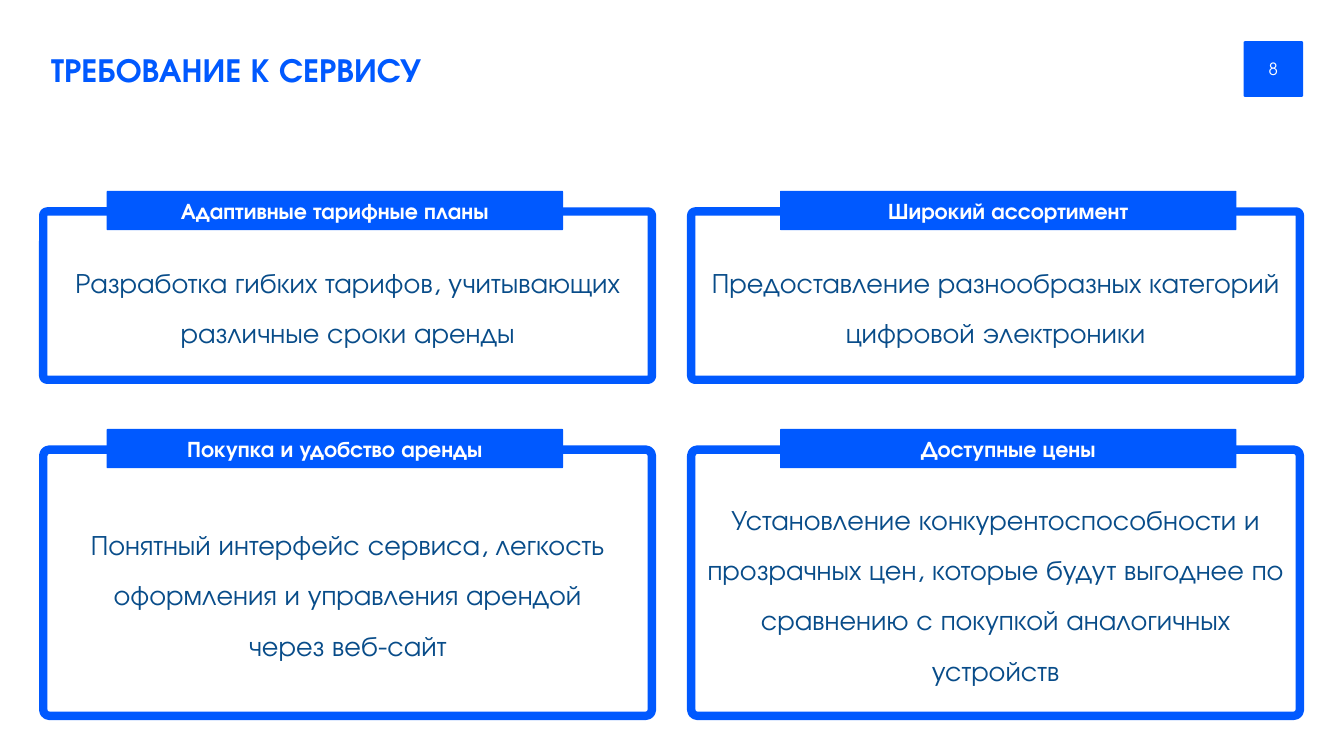
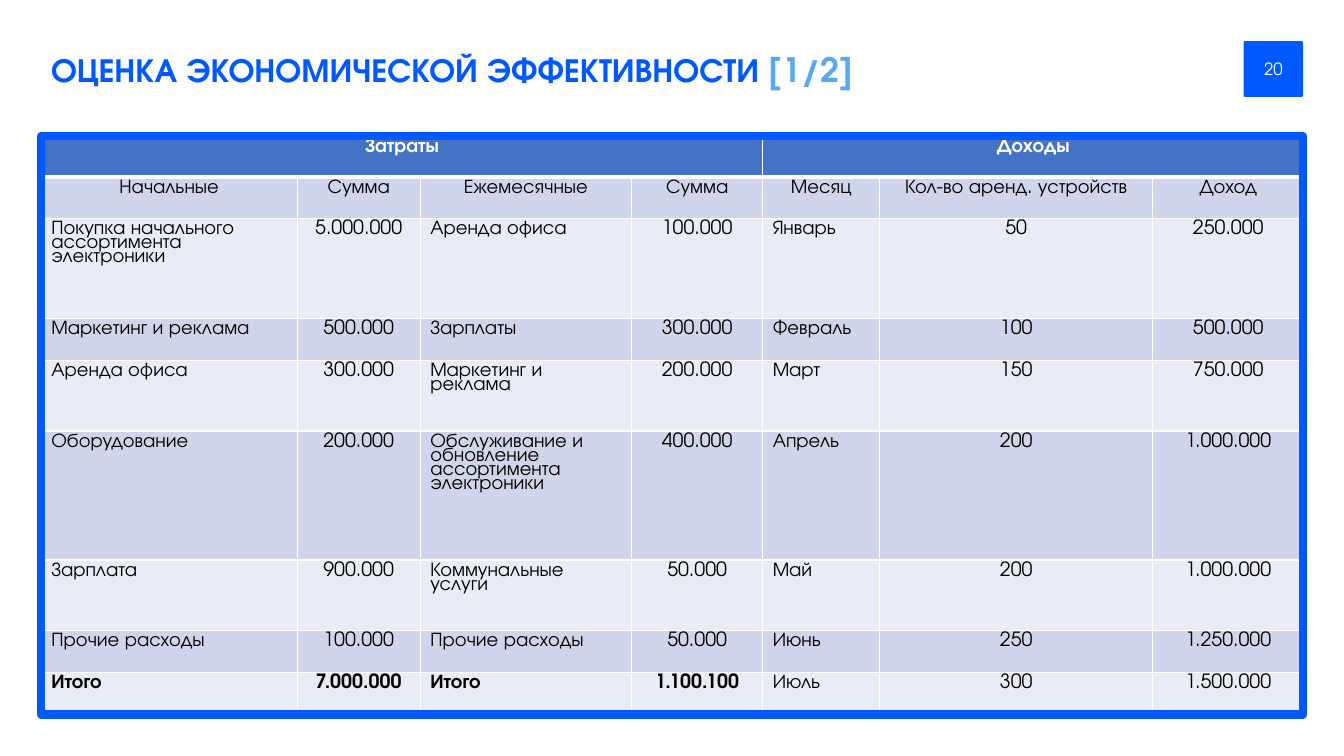
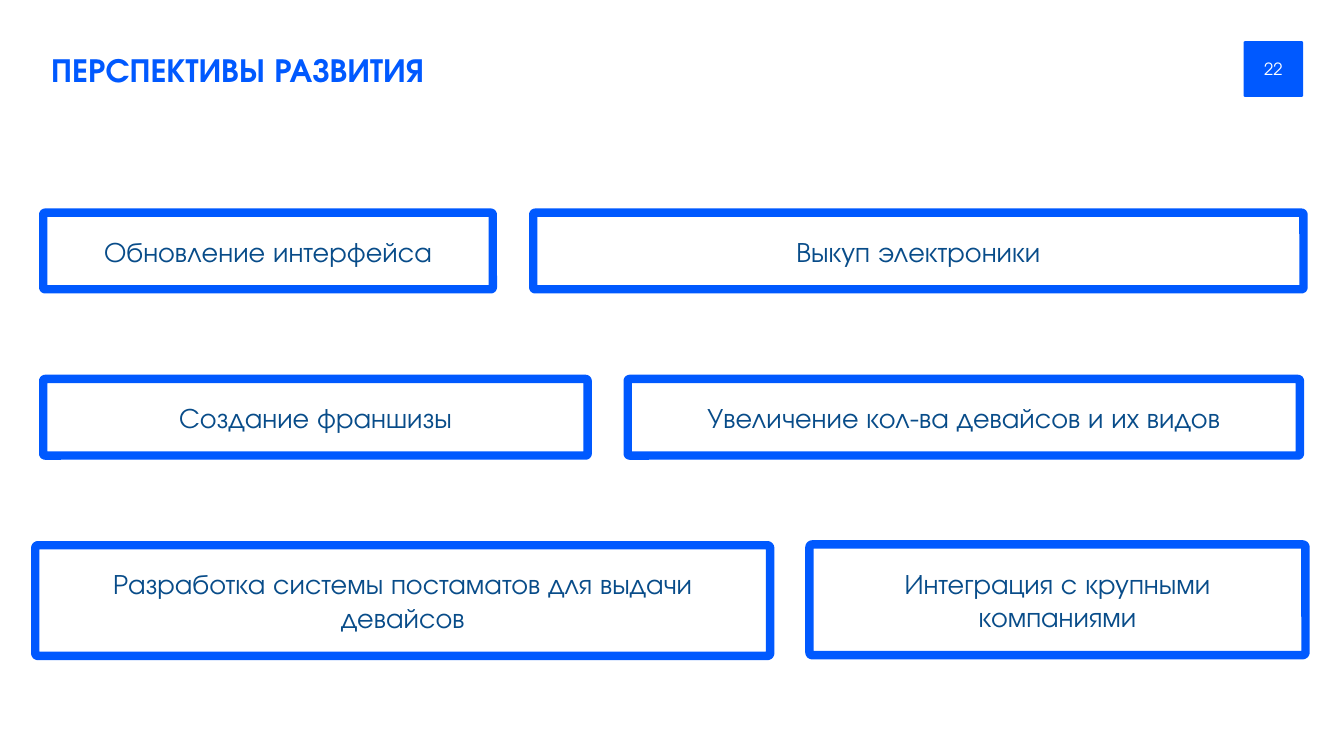
"""Build three slides on a device rental service: requirements, economics and prospects."""
from dataclasses import dataclass

from lxml import etree
from pptx import Presentation
from pptx.dml.color import RGBColor
from pptx.enum import shapes, text
from pptx.oxml import ns
from pptx.util import Cm, Pt

FONT = "TeX Gyre Adventor"
BLUE, NAVY, SKY, WHITE, BLACK = "0059FF", "084C89", "55A9F5", "FFFFFF", "000000"
HEADER, BAND_DARK, BAND_LIGHT = "4472C4", "CFD5EA", "E9EBF5"
CENTER, LEFT = text.PP_ALIGN.CENTER, text.PP_ALIGN.LEFT
MIDDLE = text.MSO_ANCHOR.MIDDLE
CORNER = 0.023


@dataclass(frozen=True)
class Area:
    """Position and size in centimetres."""
    left: float
    top: float
    width: float
    height: float

    def lengths(self) -> tuple:
        """Return the four values as lengths."""
        return Cm(self.left), Cm(self.top), Cm(self.width), Cm(self.height)


@dataclass(frozen=True)
class Card:
    """Framed requirement with a heading tab."""
    column: int
    row: int
    heading: str
    body: str
    side_inset: float = 0.3


@dataclass(frozen=True)
class Prospect:
    """Framed development idea."""
    area: Area
    label: str


TITLE_AREA = Area(1.04, 1.04, 22, 1.4)
NUMBER_AREA = Area(31.34, 1.04, 1.5, 1.4)
TABLE_AREA = Area(1.04, 3.43, 31.8, 14.58)

FRAME_LEFTS, TAB_LEFTS = (1.09, 17.42), (2.69, 19.66)
FRAME_TOPS, FRAME_HEIGHTS = (5.33, 11.33), (4.24, 6.71)
FRAME_WIDTH, TAB_WIDTH, TAB_HEIGHT, TAB_RISE = 15.34, 11.5, 0.99, 0.52

CARDS = (
    Card(0, 0, "Адаптивные тарифные планы",
         "Разработка гибких тарифов, учитывающих различные сроки аренды"),
    Card(1, 0, "Широкий ассортимент",
         "Предоставление разнообразных категорий цифровой электроники"),
    Card(0, 1, "Покупка и удобство аренды",
         "Понятный интерфейс сервиса, легкость оформления и управления арендой "
         "через веб-сайт", 0.85),
    Card(1, 1, "Доступные цены",
         "Установление конкурентоспособности и прозрачных цен, которые будут "
         "выгоднее по сравнению с покупкой аналогичных устройств"),
)

PROSPECTS = (
    Prospect(Area(1.09, 5.36, 11.33, 1.93), "Обновление интерфейса"),
    Prospect(Area(13.44, 5.36, 19.41, 1.93), "Выкуп электроники"),
    Prospect(Area(1.09, 9.55, 13.72, 1.93), "Создание франшизы"),
    Prospect(Area(15.82, 9.55, 16.94, 1.93), "Увеличение кол-ва девайсов и их видов"),
    Prospect(Area(0.89, 13.74, 18.52, 2.79),
             "Разработка системы постаматов для выдачи девайсов"),
    Prospect(Area(20.4, 13.72, 12.5, 2.79), "Интеграция с крупными компаниями"),
)

COLUMN_WIDTHS = (6.45, 3.1, 5.33, 3.3, 2.95, 6.88, 3.81)
ROW_HEIGHTS = (1.03, 1.05, 2.52, 1.05, 1.78, 3.25, 1.78, 1.05, 1.05)
LEFT_COLUMNS = (0, 2, 4)
COST_COLUMNS = 4
ROWS = (
    ("Затраты", "", "", "", "Доходы", "", ""),
    ("Начальные", "Сумма", "Ежемесячные", "Сумма", "Месяц",
     "Кол-во аренд. устройств", "Доход"),
    ("Покупка начального ассортимента электроники", "5.000.000",
     "Аренда офиса", "100.000", "Январь", "50", "250.000"),
    ("Маркетинг и реклама", "500.000", "Зарплаты", "300.000",
     "Февраль", "100", "500.000"),
    ("Аренда офиса", "300.000", "Маркетинг и реклама", "200.000",
     "Март", "150", "750.000"),
    ("Оборудование", "200.000", "Обслуживание и обновление ассортимента электроники",
     "400.000", "Апрель", "200", "1.000.000"),
    ("Зарплата", "900.000", "Коммунальные услуги", "50.000",
     "Май", "200", "1.000.000"),
    ("Прочие расходы", "100.000", "Прочие расходы", "50.000",
     "Июнь", "250", "1.250.000"),
    ("Итого", "7.000.000", "Итого", "1.100.100", "Июль", "300", "1.500.000"),
)


def color(value: str) -> RGBColor:
    """Turn a hex string into a colour."""
    return RGBColor.from_string(value)


def add_span(para, content: str, *, size: float, ink: str, bold: bool = False) -> None:
    """Append formatted text to a paragraph."""
    span = para.add_run()
    span.text = content
    span.font.name = FONT
    span.font.size = Pt(size)
    span.font.bold = bold
    span.font.color.rgb = color(ink)


def write(frame, content: str, *, size: float, ink: str, bold: bool = False,
          align=CENTER, spacing: float = 1.0):
    """Fill the first paragraph of a text frame and return it."""
    frame.word_wrap = True
    para = frame.paragraphs[0]
    para.alignment = align
    para.line_spacing = spacing
    add_span(para, content, size=size, ink=ink, bold=bold)
    return para


def add_box(page, area: Area, *, fill: str = "", line: str = "", corner: float = CORNER):
    """Add a rounded rectangle, filled or outlined."""
    box = page.shapes.add_shape(shapes.MSO_SHAPE.ROUNDED_RECTANGLE, *area.lengths())
    box.adjustments[0] = corner
    box.shadow.inherit = False
    box.text_frame.vertical_anchor = MIDDLE
    if fill:
        box.fill.solid()
        box.fill.fore_color.rgb = color(fill)
    else:
        box.fill.background()
    if line:
        box.line.color.rgb = color(line)
        box.line.width = Pt(6)
    else:
        box.line.fill.background()
    return box


def add_page(deck, title: str, number: int, part: str = ""):
    """Add a blank slide with the shared title and page number."""
    page = deck.slides.add_slide(deck.slide_layouts[6])
    frame = page.shapes.add_textbox(*TITLE_AREA.lengths()).text_frame
    frame.vertical_anchor = MIDDLE
    para = write(frame, title, size=24, ink=BLUE, bold=True, align=LEFT)
    if part:
        add_span(para, f" {part}", size=24, ink=SKY, bold=True)
    badge = add_box(page, NUMBER_AREA, fill=BLUE)
    write(badge.text_frame, str(number), size=12, ink=WHITE)
    return page


def add_card(page, card: Card) -> None:
    """Draw a requirement frame and its heading tab."""
    top = FRAME_TOPS[card.row]
    box = add_box(page, Area(FRAME_LEFTS[card.column], top, FRAME_WIDTH,
                             FRAME_HEIGHTS[card.row]), line=BLUE)
    frame = box.text_frame
    frame.margin_left = frame.margin_right = Cm(card.side_inset)
    frame.margin_top = Cm(0.3)
    write(frame, card.body, size=20, ink=NAVY, spacing=1.5)
    tab = add_box(page, Area(TAB_LEFTS[card.column], top - TAB_RISE, TAB_WIDTH,
                             TAB_HEIGHT), fill=BLUE)
    write(tab.text_frame, card.heading, size=16, ink=WHITE, bold=True)


def add_prospect(page, prospect: Prospect) -> None:
    """Draw a framed idea."""
    frame = add_box(page, prospect.area, line=BLUE).text_frame
    frame.margin_left = frame.margin_right = Cm(0.75)
    write(frame, prospect.label, size=20, ink=NAVY)


def set_borders(cell, **widths: float) -> None:
    """Give the cell white borders of the given widths in points."""
    properties = cell._tc.get_or_add_tcPr()
    for side, width in widths.items():
        border = etree.SubElement(properties, ns.qn(f"a:ln{side}"), w=str(Pt(width)))
        paint = etree.SubElement(border, ns.qn("a:solidFill"))
        etree.SubElement(paint, ns.qn("a:srgbClr"), val=WHITE)


def add_finance_table(page) -> None:
    """Draw the table of costs and income."""
    table = page.shapes.add_table(len(ROWS), len(COLUMN_WIDTHS),
                                  *TABLE_AREA.lengths()).table
    for column, width in zip(table.columns, COLUMN_WIDTHS):
        column.width = Cm(width)
    for row, height in zip(table.rows, ROW_HEIGHTS):
        row.height = Cm(height)
    last = len(ROWS) - 1
    for y, values in enumerate(ROWS):
        header = y == 0
        fill = HEADER if header else BAND_DARK if y % 2 else BAND_LIGHT
        for x, value in enumerate(values):
            cell = table.cell(y, x)
            set_borders(cell, L=1, R=1, T=3 if y == 1 else 1, B=3 if header else 1)
            cell.fill.solid()
            cell.fill.fore_color.rgb = color(fill)
            if value:
                write(cell.text_frame, value, size=14, spacing=0.77,
                      ink=WHITE if header else BLACK,
                      bold=header or (y == last and x < COST_COLUMNS),
                      align=LEFT if y > 1 and x in LEFT_COLUMNS else CENTER)
    for start, end in ((0, COST_COLUMNS - 1), (COST_COLUMNS, len(COLUMN_WIDTHS) - 1)):
        table.cell(0, start).merge(table.cell(0, end))


def main() -> None:
    """Build and save the deck."""
    deck = Presentation()
    deck.slide_width, deck.slide_height = Cm(33.87), Cm(19.05)

    page = add_page(deck, "ТРЕБОВАНИЕ К СЕРВИСУ", 8)
    for card in CARDS:
        add_card(page, card)

    page = add_page(deck, "ОЦЕНКА ЭКОНОМИЧЕСКОЙ ЭФФЕКТИВНОСТИ", 20, "[1/2]")
    add_finance_table(page)
    add_box(page, TABLE_AREA, line=BLUE, corner=0)

    page = add_page(deck, "ПЕРСПЕКТИВЫ РАЗВИТИЯ", 22)
    for prospect in PROSPECTS:
        add_prospect(page, prospect)

    deck.save("out.pptx")


if __name__ == "__main__":
    main()
